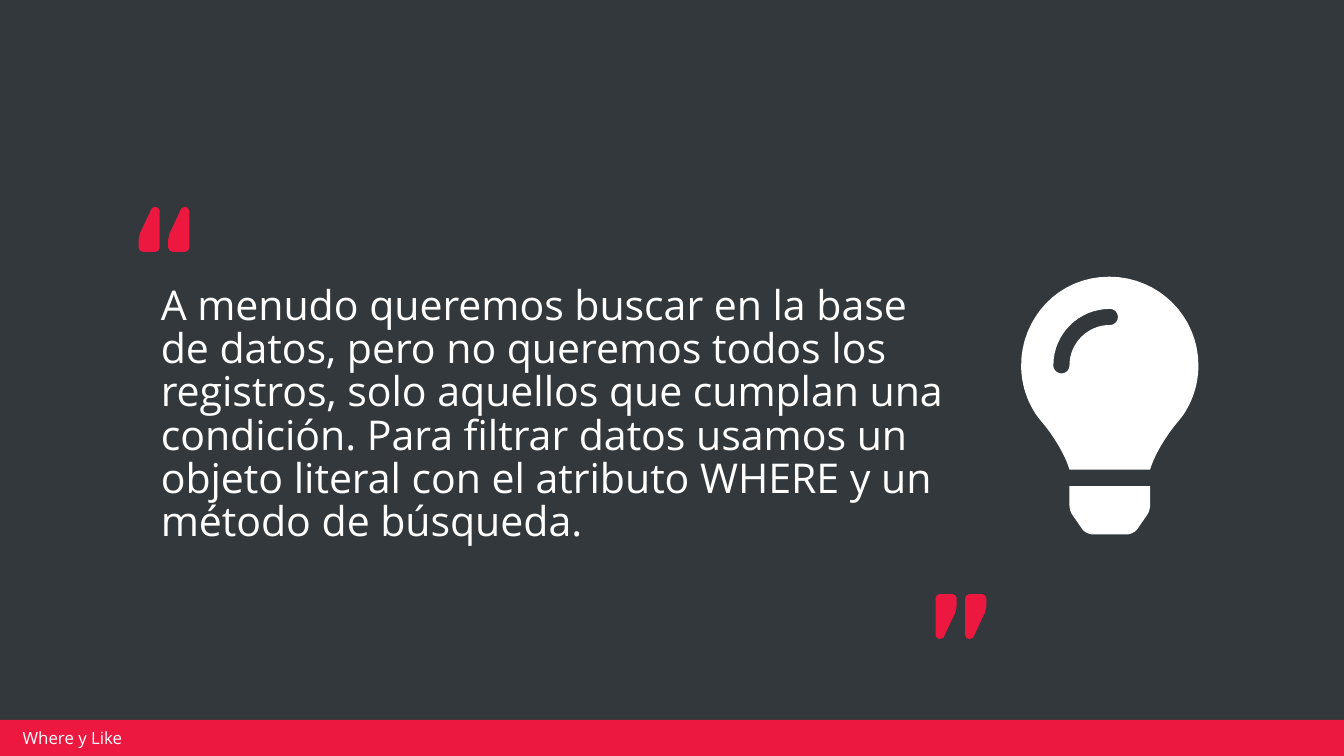
from dataclasses import dataclass

from pptx import Presentation
from pptx.dml.color import RGBColor
from pptx.enum.shapes import MSO_SHAPE
from pptx.enum.text import MSO_ANCHOR, PP_ALIGN
from pptx.util import Cm, Pt


@dataclass(frozen=True)
class Theme:
    """Colours, font and type sizes of the slide."""
    background: RGBColor = RGBColor(0x33, 0x38, 0x3C)
    accent: RGBColor = RGBColor(0xEC, 0x18, 0x3F)
    light: RGBColor = RGBColor(0xFF, 0xFF, 0xFF)
    font: str = "Open Sans"
    quote_size: int = 22
    footer_size: int = 9


THEME = Theme()
PRECISION = 10
QUOTE = (
    "A menudo queremos buscar en la base de datos, pero no queremos todos los "
    "registros, solo aquellos que cumplan una condición. Para filtrar datos usamos "
    "un objeto literal con el atributo WHERE y un método de búsqueda."
)
QUOTE_MARK = [
    (13, 0), (10, 1), (3, 16), (1, 20), (0, 25), (0, 31), (1, 33), (3, 34),
    (13, 34), (15, 33), (16, 31), (16, 3), (15, 1),
]
BULB_BASE = [
    (96, 454), ((96, 460), (98, 467), (101, 472)), (119, 498),
    ((124, 507), (134, 512), (145, 512)), (207, 512),
    ((218, 512), (228, 507), (233, 498)), (251, 472),
    ((254, 467), (256, 460), (256, 454)), (256, 416), (96, 416),
]
BULB_GLASS = [
    (0, 176), ((0, 220), (16, 261), (44, 292)),
    ((60, 311), (86, 350), (96, 383)), (256, 383),
    ((266, 350), (292, 311), (308, 292)), ((336, 261), (352, 220), (352, 176)),
    ((352, 79), (273, 0), (175, 0)), ((73, 0), (0, 83), (0, 176)),
]
BULB_SHINE = [
    (176, 96), ((132, 96), (96, 132), (96, 176)),
    ((96, 185), (89, 192), (80, 192)), ((71, 192), (64, 185), (64, 176)),
    ((64, 114), (114, 64), (176, 64)), ((185, 64), (192, 71), (192, 80)),
    ((192, 89), (185, 96), (176, 96)),
]


def flatten(contour, steps=16):
    """Return the contour's corners, with cubic curves sampled into points."""
    points = []
    for segment in contour:
        if len(segment) == 2:
            points.append(segment)
            continue
        controls = (points[-1], *segment)
        for step in range(1, steps + 1):
            t = step / steps
            weights = ((1 - t) ** 3, 3 * t * (1 - t) ** 2, 3 * t * t * (1 - t), t ** 3)
            points.append(tuple(
                sum(weight * control[axis] for weight, control in zip(weights, controls))
                for axis in (0, 1)
            ))
    return [(x * PRECISION, y * PRECISION) for x, y in points]


def paint(shape, color):
    """Give a shape a flat fill without line or shadow."""
    shape.shadow.inherit = False
    shape.fill.solid()
    shape.fill.fore_color.rgb = color
    shape.line.fill.background()


def add_outline(slide, contours, left, top, unit, color, rotation=0):
    """Draw closed contours as one filled shape."""
    first, *others = [flatten(contour) for contour in contours]
    builder = slide.shapes.build_freeform(*first[0], scale=unit / PRECISION)
    builder.add_line_segments(first[1:], close=True)
    for points in others:
        builder.move_to(*points[0])
        builder.add_line_segments(points[1:], close=True)
    shape = builder.convert_to_shape(left, top)
    shape.rotation = rotation
    paint(shape, color)


def add_quote_marks(slide, left, top, rotation=0):
    """Draw a pair of quotation marks."""
    for index in range(2):
        add_outline(slide, [QUOTE_MARK], left + index * Cm(0.56), top,
                    Cm(0.4) / 16, THEME.accent, rotation)


def add_text(slide, text, left, top, width, height, *, size, margins,
             space_before=0, line_spacing=1.0):
    """Add a wrapped, vertically centred text box."""
    frame = slide.shapes.add_textbox(left, top, width, height).text_frame
    frame.word_wrap = True
    frame.vertical_anchor = MSO_ANCHOR.MIDDLE
    frame.margin_left = frame.margin_right = margins[0]
    frame.margin_top = frame.margin_bottom = margins[1]
    paragraph = frame.paragraphs[0]
    paragraph.alignment = PP_ALIGN.LEFT
    paragraph.space_before = Pt(space_before)
    paragraph.line_spacing = line_spacing
    run = paragraph.add_run()
    run.text = text
    run.font.name = THEME.font
    run.font.size = Pt(size)
    run.font.color.rgb = THEME.light


def add_footer(slide, text):
    """Add the coloured bar with the section name."""
    bar = slide.shapes.add_shape(MSO_SHAPE.RECTANGLE, Cm(-0.04), Cm(13.61), Cm(25.48), Cm(0.69))
    paint(bar, THEME.accent)
    add_text(slide, text, Cm(0.3), Cm(13.76), Cm(6.07), Cm(0.38),
             size=THEME.footer_size, margins=(Cm(0.13), Cm(0.06)))


def main():
    """Build and save the quotation slide."""
    presentation = Presentation()
    presentation.slide_width = Cm(25.4)
    presentation.slide_height = Cm(14.29)
    slide = presentation.slides.add_slide(presentation.slide_layouts[6])
    slide.background.fill.solid()
    slide.background.fill.fore_color.rgb = THEME.background

    add_footer(slide, "Where y Like")
    add_text(slide, QUOTE, Cm(2.79), Cm(4.78), Cm(15.37), Cm(6.15),
             size=THEME.quote_size, margins=(Cm(0.25), Cm(0.13)),
             space_before=6, line_spacing=0.88)
    add_outline(slide, [BULB_BASE, BULB_GLASS, BULB_SHINE], Cm(19.3), Cm(5.23),
                Cm(3.35) / 352, THEME.light)
    add_quote_marks(slide, Cm(2.62), Cm(3.91))
    add_quote_marks(slide, Cm(17.68), Cm(11.23), rotation=180)
    presentation.save("out.pptx")


if __name__ == "__main__":
    main()
